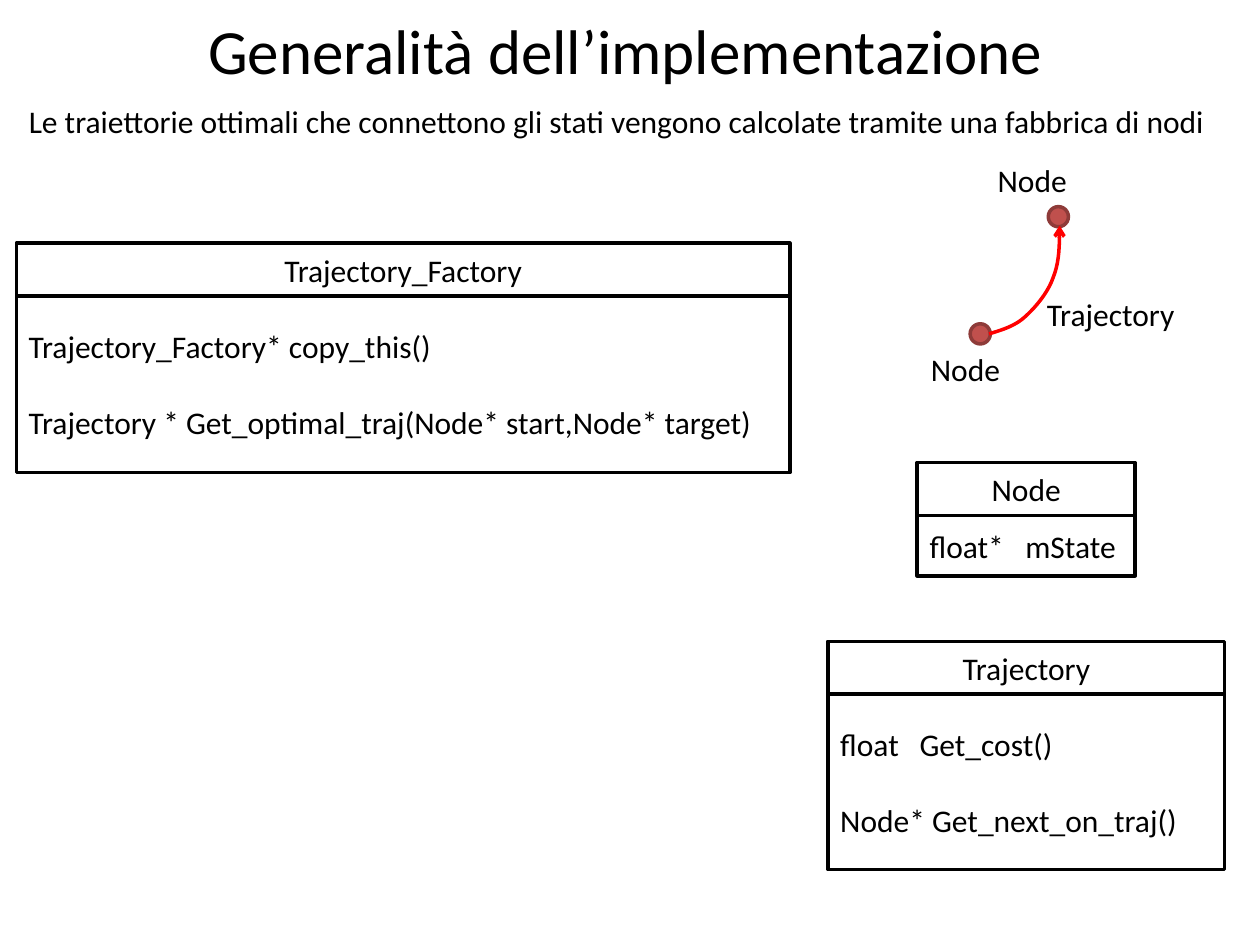
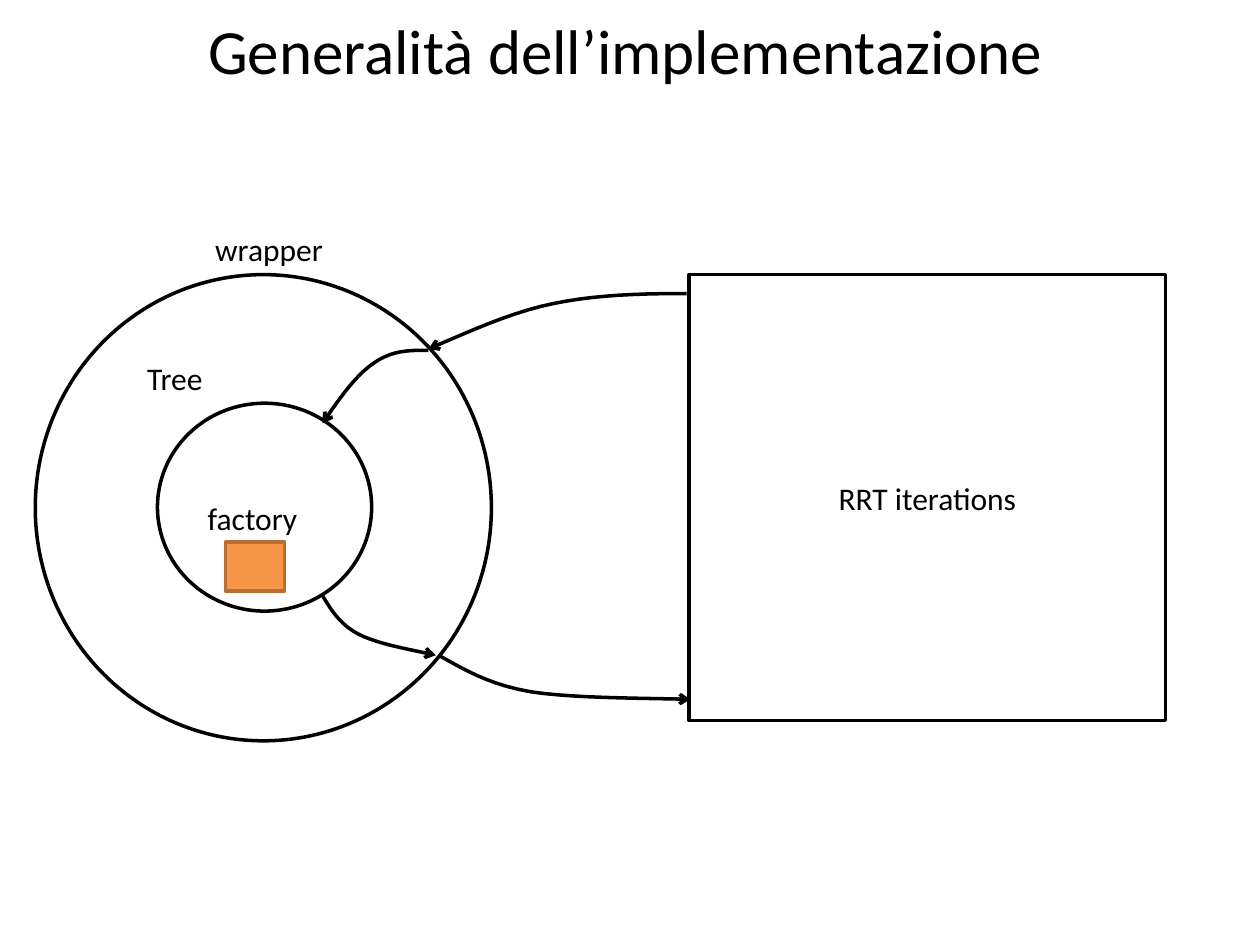
from lxml import etree
from pptx import Presentation
from pptx import util as u
from pptx.dml.color import RGBColor
from pptx.enum import shapes as kinds, text
from pptx.oxml.ns import qn

COLORS = {
    "ink": "000000", "paper": "FFFFFF", "path": "FF0000",
    "node": "C0504D", "node_edge": "8E3B39",
    "factory": "F79646", "factory_edge": "B76F34",
}
FONT = "Calibri"
TITLE = "Generalità dell’implementazione"
HEADER_HEIGHT = 0.42
CURVE_STEPS = 10
RECT, OVAL = kinds.MSO_SHAPE.RECTANGLE, kinds.MSO_SHAPE.OVAL


def rgb(name):
    return RGBColor.from_string(COLORS[name])


def inches(*lengths):
    return [u.Inches(length) for length in lengths]


def style_paragraph(paragraph, align, size=18):
    paragraph.alignment = align
    font = paragraph.font
    font.name, font.size, font.color.rgb = FONT, u.Pt(size), rgb("ink")


def add_title(slide):
    title = slide.shapes.title
    title.left, title.top, title.width, title.height = inches(0.12, 0.04, 9.69, 0.71)
    title.text_frame.text = TITLE
    title.text_frame.auto_size = text.MSO_AUTO_SIZE.NONE
    style_paragraph(title.text_frame.paragraphs[0], text.PP_ALIGN.CENTER, 36)


def add_label(slide, left, top, width, wording):
    label = slide.shapes.add_textbox(*inches(left, top, width, 0.4))
    label.text_frame.word_wrap = True
    label.text_frame.text = wording
    style_paragraph(label.text_frame.paragraphs[0], text.PP_ALIGN.LEFT)


def add_outlined(slide, kind, box, fill="paper", edge="ink"):
    shape = slide.shapes.add_shape(kind, *inches(*box))
    shape.shadow.inherit = False
    shape.fill.solid()
    shape.fill.fore_color.rgb = rgb(fill)
    shape.line.color.rgb = rgb(edge)
    shape.line.width = u.Pt(2)
    return shape


def add_panel(slide, box, lines, align=text.PP_ALIGN.CENTER, tab=None):
    """Rectangle with one paragraph per line, set one blank line apart."""
    frame = add_outlined(slide, RECT, box).text_frame
    frame.word_wrap = True
    frame.vertical_anchor = text.MSO_ANCHOR.MIDDLE
    frame.text = "\n".join(lines)
    for index, paragraph in enumerate(frame.paragraphs):
        style_paragraph(paragraph, align)
        if index:
            paragraph.space_before = u.Pt(22)
        if tab and "\t" in lines[index]:
            stops = etree.SubElement(paragraph._p.get_or_add_pPr(), qn("a:tabLst"))
            etree.SubElement(stops, qn("a:tab"), pos=str(u.Inches(tab)), algn="l")


def add_class_box(slide, box, name, members, tab=None):
    left, top, width, height = box
    body = (left, top + HEADER_HEIGHT, width, height - HEADER_HEIGHT)
    add_panel(slide, body, members, text.PP_ALIGN.LEFT, tab)
    add_panel(slide, (left, top, width, HEADER_HEIGHT), [name])


def bezier(start, control1, control2, end, t):
    return tuple((1 - t) ** 3 * a + 3 * (1 - t) ** 2 * t * b
                 + 3 * (1 - t) * t ** 2 * c + t ** 3 * d
                 for a, b, c, d in zip(start, control1, control2, end))


def add_curved_arrow(slide, origin, knots, color="ink"):
    """Arrow along joined cubic curves; knots are offsets from origin."""
    knots = [inches(origin[0] + x, origin[1] + y) for x, y in knots]
    points = [bezier(*knots[first:first + 4], step / CURVE_STEPS)
              for first in range(0, len(knots) - 1, 3)
              for step in range(1, CURVE_STEPS + 1)]
    builder = slide.shapes.build_freeform(*knots[0])
    builder.add_line_segments(points, close=False)
    arrow = builder.convert_to_shape()
    arrow.shadow.inherit = False
    arrow.fill.background()
    arrow.line.color.rgb = rgb(color)
    arrow.line.width = u.Pt(2)
    etree.SubElement(arrow.line._get_or_add_ln(), qn("a:tailEnd"), type="arrow")


def add_node_pair(slide, left, top):
    """Two nodes joined by the trajectory between them."""
    add_label(slide, left, top + 1.5, 0.96, "Node")
    for x, y in ((0.41, 1.34), (1.03, 0.41)):
        add_outlined(slide, OVAL, (left + x, top + y, 0.16, 0.16), "node", "node_edge")
    add_label(slide, left + 0.53, top, 1.1, "Node")
    add_curved_arrow(slide, (left + 0.56, top + 0.56), [
        (0, 0.86), (0.1, 0.83), (0.2, 0.8), (0.28, 0.73),
        (0.37, 0.65), (0.47, 0.53), (0.51, 0.41),
        (0.56, 0.29), (0.56, 0.14), (0.56, 0)], "path")
    add_label(slide, left + 0.92, top + 1.06, 1.33, "Trajectory")


def add_wrapper(slide, left, top):
    """Wrapper circle around the tree, which holds the factory."""
    add_outlined(slide, OVAL, (left, top, 3.62, 3.7))
    add_outlined(slide, OVAL, (left + 0.97, top + 1.02, 1.7, 1.65))
    add_outlined(slide, RECT, (left + 1.51, top + 2.12, 0.47, 0.39),
                 "factory", "factory_edge")
    for x, y, wording in ((1.33, -0.4, "wrapper"), (0.79, 0.62, "Tree"),
                          (1.27, 1.73, "factory")):
        add_label(slide, left + x, top + y, 1.1, wording)


def add_call_arrows(slide, left, top):
    """Calls from the iterations to the tree, and the answers back."""
    routes = [
        [(2.9, 0), (2.54, 0), (2.18, 0.01), (1.84, 0.08),
         (1.5, 0.15), (1.18, 0.3), (0.85, 0.44)],
        [(0.85, 0.45), (0.7, 0.45), (0.56, 0.45), (0.42, 0.55),
         (0.27, 0.65), (0.14, 0.84), (0.01, 1.03)],
        [(0, 2.38), (0.07, 2.5), (0.14, 2.62), (0.29, 2.7),
         (0.44, 2.78), (0.68, 2.82), (0.91, 2.87)],
        [(0.93, 2.87), (1.13, 2.98), (1.32, 3.1), (1.66, 3.16),
         (1.99, 3.21), (2.46, 3.21), (2.93, 3.22)],
    ]
    for knots in routes:
        add_curved_arrow(slide, (left, top), knots)


def build_classes(slide):
    add_title(slide)
    add_label(slide, 0.13, 0.76, 9.68, "Le traiettorie ottimali che connettono gli stati "
              "vengono calcolate tramite una fabbrica di nodi")
    add_node_pair(slide, 7.29, 1.23)
    add_class_box(slide, (0.13, 1.93, 6.14, 1.82), "Trajectory_Factory",
                  ["Trajectory_Factory* copy_this()",
                   "Trajectory * Get_optimal_traj(Node* start,Node* target)"])
    add_class_box(slide, (7.28, 3.67, 1.73, 0.9), "Node", ["float*\tmState"], 0.76)
    add_class_box(slide, (6.57, 5.09, 3.15, 1.81), "Trajectory",
                  ["float\tGet_cost()", "Node* Get_next_on_traj()"], 0.63)


def build_architecture(slide):
    add_title(slide)
    add_wrapper(slide, 0.28, 2.18)
    add_panel(slide, (5.47, 2.18, 3.78, 3.54), ["RRT iterations"])
    add_call_arrows(slide, 2.55, 2.33)


def main():
    deck = Presentation()
    deck.slide_width, deck.slide_height = inches(10, 7.5)
    title_only = deck.slide_layouts[5]
    for build in (build_classes, build_architecture):
        build(deck.slides.add_slide(title_only))
    deck.save("out.pptx")


if __name__ == "__main__":
    main()
